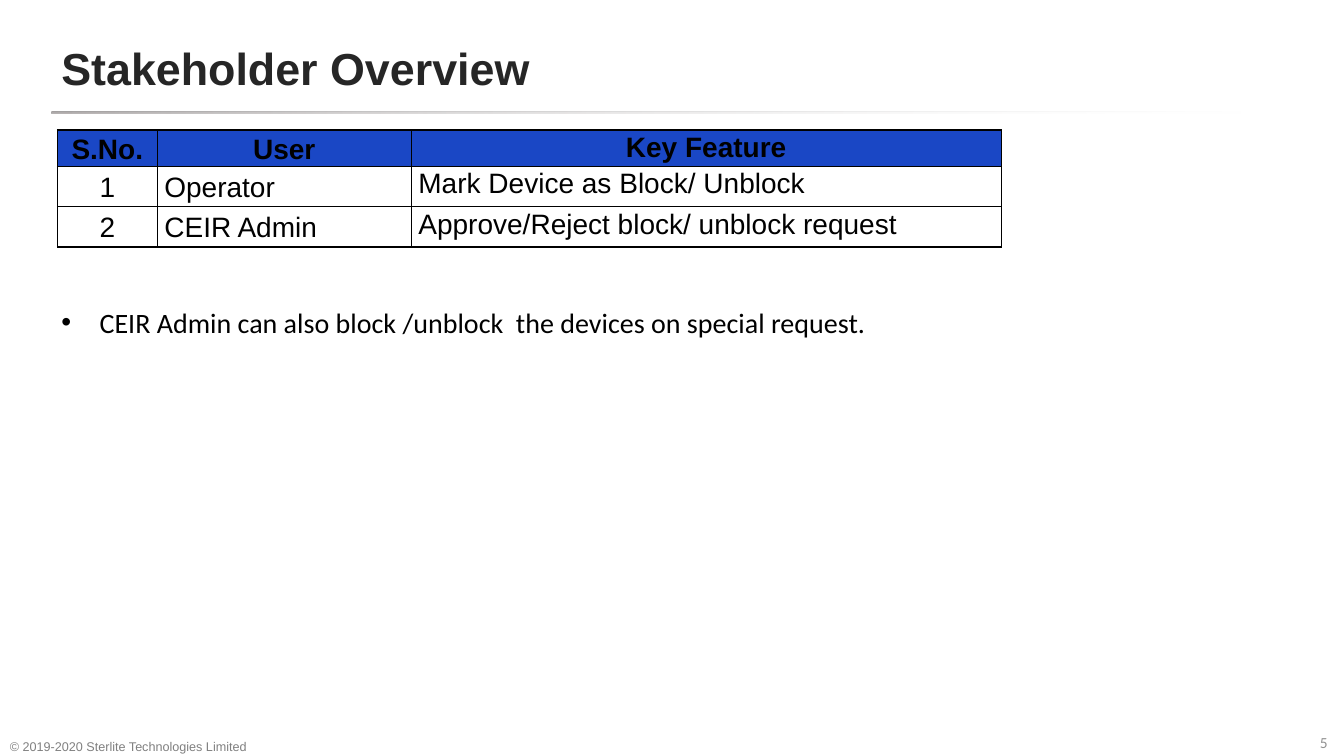
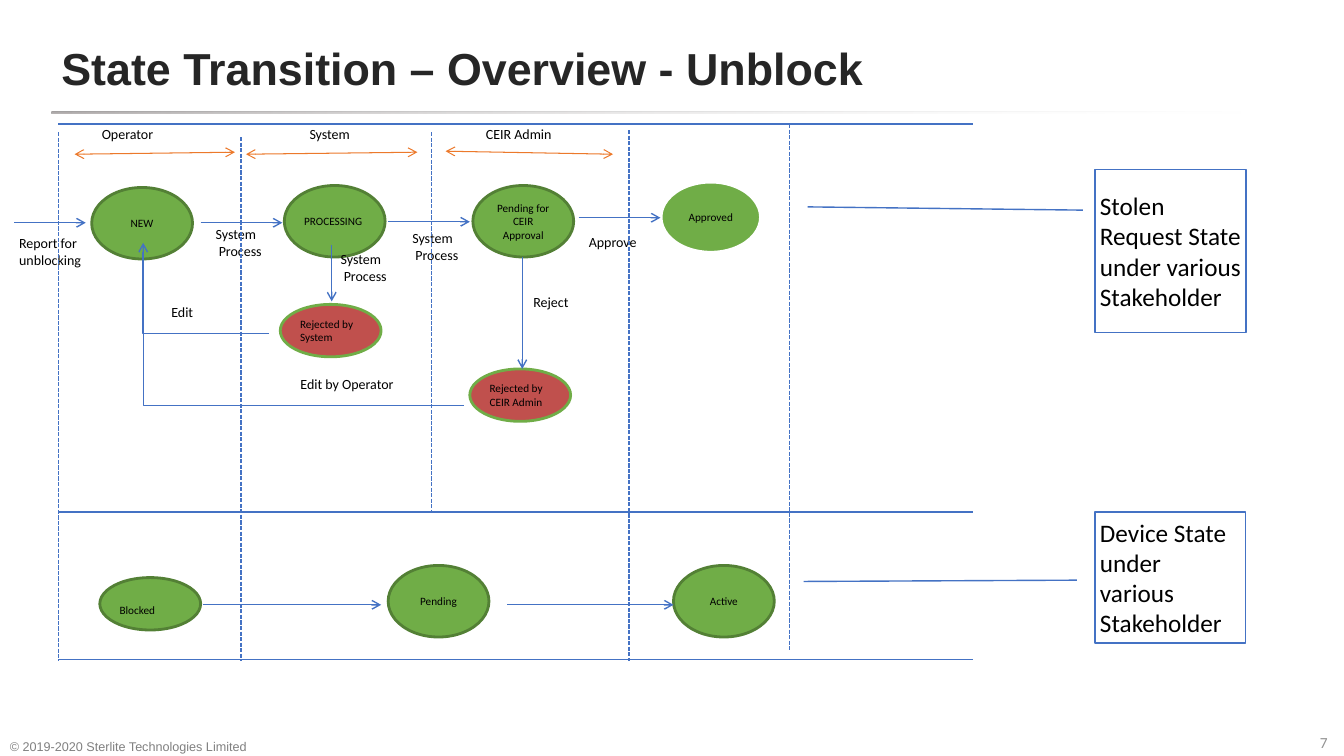
import pptx
import pptx.dml.color
import pptx.enum.dml
import pptx.enum.shapes
import pptx.enum.text
import pptx.oxml
import pptx.oxml.ns
import pptx.util
from lxml import etree

Inches = pptx.util.Inches
Pt = pptx.util.Pt
RGBColor = pptx.dml.color.RGBColor
SHAPE = pptx.enum.shapes.MSO_SHAPE
CONNECTOR = pptx.enum.shapes.MSO_CONNECTOR
ANCHOR = pptx.enum.text.MSO_ANCHOR
ALIGN = pptx.enum.text.PP_ALIGN
qn = pptx.oxml.ns.qn

BLACK = RGBColor(0x00, 0x00, 0x00)
WHITE = RGBColor(0xFF, 0xFF, 0xFF)
TITLE_INK = RGBColor(0x26, 0x26, 0x26)
FOOTER_GRAY = RGBColor(0x80, 0x80, 0x80)
NUMBER_GRAY = RGBColor(0x92, 0x92, 0x92)
RULE_GRAY = RGBColor(0xAF, 0xAB, 0xAB)
HEADER_BLUE = RGBColor(0x1A, 0x47, 0xC5)
BLUE = RGBColor(0x44, 0x72, 0xC4)
ORANGE = RGBColor(0xEC, 0x79, 0x2B)
GREEN = RGBColor(0x70, 0xAD, 0x47)
DARK_GREEN = RGBColor(0x53, 0x80, 0x35)
RED = RGBColor(0xC0, 0x50, 0x4D)

MARGINS = ("margin_left", "margin_top", "margin_right", "margin_bottom")
TIGHT = dict.fromkeys(MARGINS, Inches(0.05))
MIDDLE = {"vertical_anchor": ANCHOR.MIDDLE}
TITLE = {"name": "Arial", "size": Pt(32), "bold": True}
FOOTER = {"name": "Arial", "size": Pt(9)}
NUMBER = {"name": "Calibri", "size": Pt(11)}
LABEL = {"name": "Calibri", "size": Pt(10)}
STATE = {"name": "Calibri", "size": Pt(8)}
CALLOUT = {"name": "Calibri", "size": Pt(18)}
BULLET = {"name": "Calibri", "size": Pt(20)}


def write_text(frame, text, font_format, color=BLACK, frame_format=TIGHT, paragraph_format={}):
    frame.word_wrap = True
    for name, value in frame_format.items():
        setattr(frame, name, value)
    frame.text = text
    for paragraph in frame.paragraphs:
        for name, value in paragraph_format.items():
            setattr(paragraph, name, value)
        for run in paragraph.runs:
            for name, value in font_format.items():
                setattr(run.font, name, value)
            run.font.color.rgb = color


def add_line(slide, points, color=BLUE, width=1, dash=None, ends=(), kind=CONNECTOR.STRAIGHT):
    connector = slide.shapes.add_connector(kind, *[Inches(value) for value in points])
    connector.line.color.rgb = color
    connector.line.width = Pt(width)
    if dash:
        connector.line.dash_style = dash
    line_properties = connector.line._get_or_add_ln()
    for end in ends:
        etree.SubElement(line_properties, qn(end), type="arrow")
    etree.SubElement(connector._element.spPr, qn("a:effectLst"))
    return connector


presentation = pptx.Presentation()
presentation.slide_width = Inches(13.33)
presentation.slide_height = Inches(7.5)

slides = []
for title, number in [("Stakeholder Overview", "5"), ("State Transition – Overview - Unblock", "7")]:
    slide = presentation.slides.add_slide(presentation.slide_layouts[6])
    slides.append(slide)
    rule = slide.shapes.add_shape(SHAPE.ROUNDED_RECTANGLE, Inches(0.51), Inches(1.11), Inches(12.31), Inches(0.02))
    rule.shadow.inherit = False
    rule.adjustments[0] = 0.5
    rule.line.fill.background()
    rule.fill.gradient()
    rule.fill.gradient_angle = 0
    start, stop = rule.fill.gradient_stops
    start.color.rgb, start.position = RULE_GRAY, 0
    stop.color.rgb, stop.position = WHITE, 0.96
    stop_color = rule._element.spPr.findall(".//" + qn("a:srgbClr"))[-1]
    etree.SubElement(stop_color, qn("a:alpha"), val="0")

    for text, place, font_format, color, frame_format in [
        (title, (0.51, 0.23, 9.92, 0.88), TITLE, TITLE_INK, MIDDLE),
        (number, (13.04, 7.22, 0.27, 0.25), NUMBER, NUMBER_GRAY, TIGHT),
        ("© 2019-2020 Sterlite Technologies Limited", (0, 7.22, 3.03, 0.31), FOOTER, FOOTER_GRAY,
         {"vertical_anchor": ANCHOR.BOTTOM}),
    ]:
        box = slide.shapes.add_textbox(*[Inches(value) for value in place])
        write_text(box.text_frame, text, font_format, color, frame_format)

overview, transition = slides

note = overview.shapes.add_textbox(Inches(0.51), Inches(2.98), Inches(9.36), Inches(0.84))
write_text(note.text_frame, "CEIR Admin can also block /unblock  the devices on special request.", BULLET, frame_format={})
note_properties = note.text_frame.paragraphs[0]._p.get_or_add_pPr()
note_properties.set("marL", str(Inches(0.38)))
note_properties.set("indent", str(Inches(-0.38)))
etree.SubElement(note_properties, qn("a:buFont"), typeface="Arial")
etree.SubElement(note_properties, qn("a:buChar"), char="•")

rows = [
    ("S.No.", "User", "Key Feature"),
    ("1", "Operator", "Mark Device as Block/ Unblock"),
    ("2", "CEIR Admin", "Approve/Reject block/ unblock request"),
]
table = overview.shapes.add_table(3, 3, Inches(0.57), Inches(1.29), Inches(9.36), Inches(1.16)).table
table.first_row = table.horz_banding = False
for column, width in zip(table.columns, (0.99, 2.52, 5.85)):
    column.width = Inches(width)
for row, height in zip(table.rows, (0.36, 0.4, 0.4)):
    row.height = Inches(height)
for row_index, row in enumerate(rows):
    for column_index, text in enumerate(row):
        cell = table.cell(row_index, column_index)
        header = row_index == 0
        for name, inset in zip(MARGINS, (0.07, 0, 0.07, 0)):
            setattr(cell, name, Inches(inset))
        cell.vertical_anchor = ANCHOR.TOP if column_index == 2 else ANCHOR.MIDDLE
        write_text(
            cell.text_frame, text, {"name": "Arial", "size": Pt(20), "bold": header}, frame_format={},
            paragraph_format={
                "alignment": ALIGN.CENTER if header or column_index == 0 else ALIGN.LEFT,
                "line_spacing": 1.07,
                "space_after": Pt(8),
            },
        )
        cell_properties = cell._tc.get_or_add_tcPr()
        for side in ("a:lnL", "a:lnR", "a:lnT", "a:lnB"):
            border = etree.SubElement(cell_properties, qn(side), w=str(Pt(1)))
            border_fill = etree.SubElement(border, qn("a:solidFill"))
            etree.SubElement(border_fill, qn("a:srgbClr"), val=str(BLACK))
        if header:
            cell.fill.solid()
            cell.fill.fore_color.rgb = HEADER_BLUE
        else:
            cell.fill.background()

TALL, SHORT = 0.71, 0.52
for text, left, top, height, fill, outline, width, alignment in [
    ("NEW", 0.91, 1.86, TALL, GREEN, DARK_GREEN, 2, ALIGN.CENTER),
    ("PROCESSING", 2.82, 1.84, TALL, GREEN, DARK_GREEN, 2, ALIGN.LEFT),
    ("Pending for CEIR Approval", 4.69, 1.84, TALL, GREEN, DARK_GREEN, 2, ALIGN.CENTER),
    ("Approved", 6.55, 1.8, TALL, GREEN, WHITE, 3, ALIGN.CENTER),
    ("Rejected by System", 2.78, 3.02, SHORT, RED, GREEN, 2, ALIGN.LEFT),
    ("Rejected by\nCEIR Admin", 4.66, 3.66, SHORT, RED, GREEN, 2, ALIGN.LEFT),
    ("Blocked", 0.99, 5.73, SHORT, GREEN, DARK_GREEN, 2, ALIGN.LEFT),
    ("Pending", 3.85, 5.61, TALL, GREEN, DARK_GREEN, 2, ALIGN.CENTER),
    ("Active", 6.68, 5.61, TALL, GREEN, DARK_GREEN, 2, ALIGN.CENTER),
]:
    state = transition.shapes.add_shape(SHAPE.OVAL, Inches(left), Inches(top), Inches(1), Inches(height))
    state.shadow.inherit = False
    state.fill.solid()
    state.fill.fore_color.rgb = fill
    state.line.color.rgb = outline
    state.line.width = Pt(width)
    write_text(state.text_frame, text, STATE, frame_format={**TIGHT, **MIDDLE}, paragraph_format={"alignment": alignment})
    if text == "Blocked":
        state.text_frame.margin_top = Inches(0.18)

for text, left, top in [
    ("Operator", 0.96, 1.2),
    ("System", 3.02, 1.2),
    ("CEIR Admin", 4.77, 1.2),
    ("Report for\nunblocking", 0.14, 2.28),
    ("System\nProcess", 2.09, 2.19),
    ("System\nProcess", 3.33, 2.44),
    ("System\nProcess", 4.04, 2.23),
    ("Approve", 5.79, 2.27),
    ("Reject", 5.24, 2.86),
    ("Edit", 1.65, 2.96),
    ("Edit by Operator", 2.93, 3.68),
]:
    height = 0.44 if "\n" in text else 0.27
    label = transition.shapes.add_textbox(Inches(left), Inches(top), Inches(1.26), Inches(height))
    write_text(label.text_frame, text, LABEL)
    for paragraph in label.text_frame.paragraphs:
        if paragraph.text == "Process":
            paragraph._p.get_or_add_pPr().set("marL", str(Inches(0.03)))

for points in [
    (0.14, 2.21, 0.85, 2.21),
    (1.99, 2.21, 2.8, 2.21),
    (3.85, 2.2, 4.66, 2.2),
    (5.74, 2.16, 6.55, 2.16),
    (3.29, 2.43, 3.29, 2.99),
    (5.18, 2.55, 5.18, 3.66),
    (2.01, 6, 3.78, 6),
    (5.03, 6, 6.68, 6),
]:
    add_line(transition, points, ends=["a:tailEnd"])

for points in [(0.74, 1.53, 2.33, 1.51), (2.44, 1.53, 4.14, 1.51), (4.42, 1.5, 6.08, 1.53)]:
    add_line(transition, points, ORANGE, 0.75, ends=["a:headEnd", "a:tailEnd"])

for x, top, bottom in [(0.58, 1.31, 6.56), (2.39, 1.36, 6.56), (4.28, 1.31, 5.08), (6.24, 1.29, 6.56), (7.83, 1.23, 6.45)]:
    add_line(transition, (x, top, x, bottom), dash=pptx.enum.dml.MSO_LINE.SQUARE_DOT)

for y in (1.23, 5.08, 6.54):
    add_line(transition, (0.58, y, 9.65, y))

edit_path = add_line(transition, (1.42, 2.41, 2.67, 3.31), ends=["a:tailEnd"], kind=CONNECTOR.ELBOW)
edit_path._element.spPr.find(qn("a:prstGeom")).set("prst", "bentConnector2")
operator_path = add_line(transition, (1.44, 3.31, 4.6, 4.02), kind=CONNECTOR.ELBOW)
guides = operator_path._element.spPr.find(qn("a:prstGeom")).get_or_add_avLst()
etree.SubElement(guides, qn("a:gd"), name="adj1", fmla="val 100500")
for elbow in (edit_path, operator_path):
    elbow._element.spPr.find(qn("a:xfrm")).set("rot", "10800000")

for text, top, width, height, adjustments in [
    ("Stolen Request State under various Stakeholder", 1.68, 1.5, 1.62, (0.25, -0.08, 0.23, -1.9)),
    ("Device State under various Stakeholder", 5.08, 1.49, 1.3, (0.52, -0.12, 0.53, -1.94)),
]:
    callout = transition.shapes.add_shape(SHAPE.LINE_CALLOUT_1, Inches(10.86), Inches(top), Inches(width), Inches(height))
    callout.shadow.inherit = False
    for index, value in enumerate(adjustments):
        callout.adjustments[index] = value
    callout.fill.solid()
    callout.fill.fore_color.rgb = WHITE
    callout.line.color.rgb = BLUE
    callout.line.width = Pt(1)
    write_text(callout.text_frame, text, CALLOUT, frame_format={**TIGHT, **MIDDLE}, paragraph_format={"alignment": ALIGN.LEFT})

presentation.save("out.pptx")
